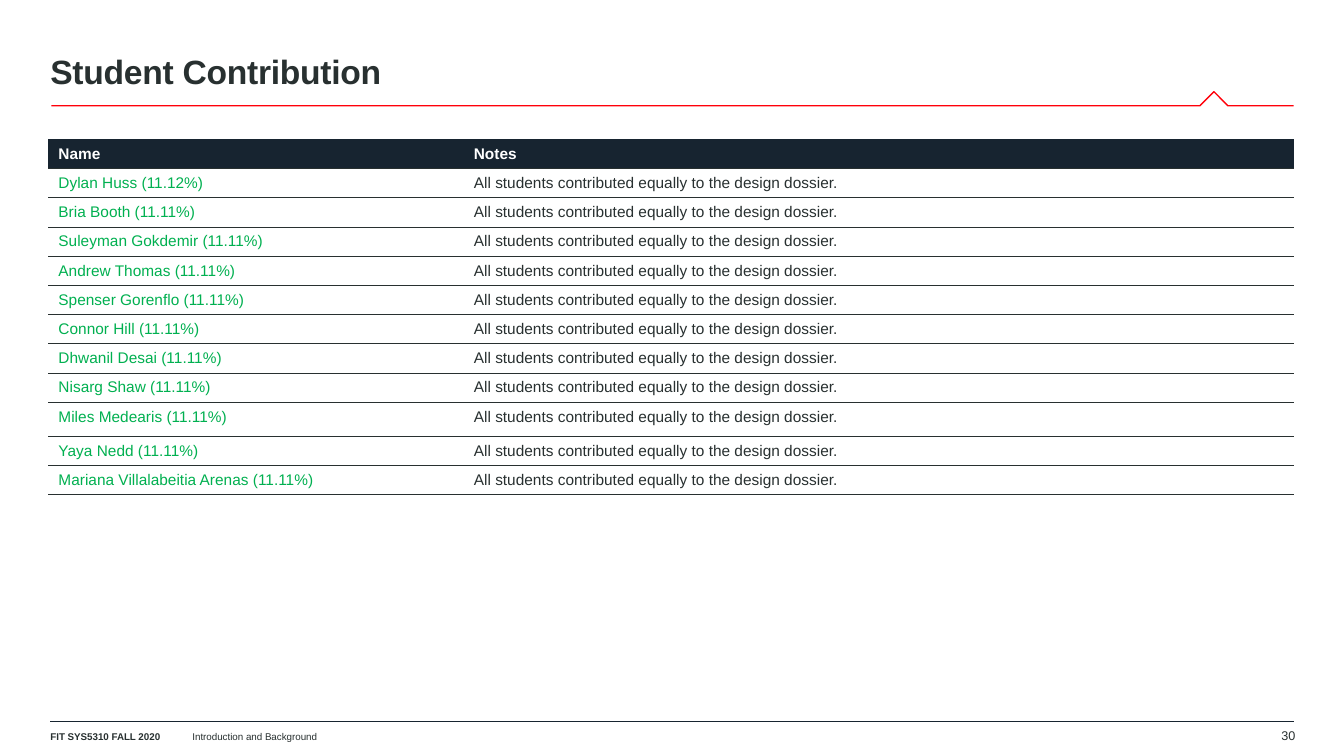
from lxml.etree import SubElement
from pptx import Presentation
from pptx.dml.color import RGBColor
from pptx.enum.shapes import MSO_CONNECTOR
from pptx.enum.text import MSO_ANCHOR
from pptx.oxml import parse_xml
from pptx.oxml.ns import nsdecls, qn
from pptx.util import Pt

PX = 9144
INK, NAVY, RED, GREEN, WHITE = "283030", "172430", "FF000A", "00B050", "FFFFFF"
NO_GRID_STYLE = "{2D5ABB26-0587-4C30-8999-92F81FD0307C}"
NOTE = "All students contributed equally to the design dossier."
SHARES = [
    ("Dylan Huss", "11.12%"),
    *((student, "11.11%") for student in (
        "Bria Booth", "Suleyman Gokdemir", "Andrew Thomas", "Spenser Gorenflo",
        "Connor Hill", "Dhwanil Desai", "Nisarg Shaw", "Miles Medearis",
        "Yaya Nedd", "Mariana Villalabeitia Arenas")),
]


def px(length):
    return length * PX


def rgb(code):
    return RGBColor.from_string(code)


def set_font(paragraph, size, color, bold=False):
    font = paragraph.font
    font.name, font.size, font.bold = "Arial", Pt(size), bold
    font.color.rgb = rgb(color)


def add_label(slide, box, text, size, bold=False,
              anchor=MSO_ANCHOR.MIDDLE, insets=(10, 5)):
    frame = slide.shapes.add_textbox(*map(px, box)).text_frame
    frame.word_wrap = True
    frame.vertical_anchor = anchor
    frame.margin_left = frame.margin_right = px(insets[0])
    frame.margin_top = frame.margin_bottom = px(insets[1])
    paragraph = frame.paragraphs[0]
    paragraph.text = text
    set_font(paragraph, size, INK, bold)
    return paragraph


def draw_header(slide, left, top, width, height):
    title = add_label(slide, (left, top, 1000, 70), "Student Contribution", 24,
                      bold=True, insets=(0, 0))
    title.line_spacing = 0.85
    title.runs[0]._r.get_or_add_rPr().set("spc", "-20")

    right, base = left + width, top + height
    peak, rise = right - 79, 14
    builder = slide.shapes.build_freeform(right, base, scale=PX)
    builder.add_line_segments(
        [(peak + rise, base), (peak, base - rise), (peak - rise, base),
         (left + 1, base)], close=False)
    rule = builder.convert_to_shape()
    rule.shadow.inherit = False
    rule.fill.background()
    rule.line.color.rgb = rgb(RED)
    rule.line.width = Pt(1)


def fill_cell(cell, text, color, header):
    paragraph = cell.text_frame.paragraphs[0]
    paragraph.text = text
    paragraph.line_spacing = 1.07
    paragraph.space_after = Pt(8)
    set_font(paragraph, 11, color, header)
    cell.margin_left = cell.margin_right = px(10)
    cell.margin_top, cell.margin_bottom = px(5), px(4)
    if header:
        cell.fill.solid()
        cell.fill.fore_color.rgb = rgb(NAVY)
    else:
        cell.fill.background()
    border = parse_xml(
        f'<a:lnB {nsdecls("a")} w="{Pt(0.25)}"><a:solidFill>'
        f'<a:srgbClr val="{INK}"/></a:solidFill></a:lnB>')
    cell._tc.get_or_add_tcPr().insert(0, border)


def draw_contributions(slide, left, top, width, height):
    rows = [("Name", "Notes")]
    rows += [(f"{student} ({share})", NOTE) for student, share in SHARES]
    table = slide.shapes.add_table(
        len(rows), 2, px(left), px(top), px(width), px(height)).table
    table._tbl.tblPr.find(qn("a:tableStyleId")).text = NO_GRID_STYLE
    table.horz_banding = False
    name_width = width // 3 + 1
    table.columns[0].width = px(name_width)
    table.columns[1].width = px(width - name_width)
    for index, texts in enumerate(rows):
        header = index == 0
        table.rows[index].height = px(34 if "Miles" in texts[0] else 29)
        colors = (WHITE, WHITE) if header else (GREEN, INK)
        for column, (text, color) in enumerate(zip(texts, colors)):
            fill_cell(table.cell(index, column), text, color, header)


def draw_footer(slide, left, top, width):
    right = left + width
    rule = slide.shapes.add_connector(
        MSO_CONNECTOR.STRAIGHT, px(left), px(top), px(right), px(top))
    rule.line.color.rgb = rgb(NAVY)
    rule.line.width = Pt(0.25)
    SubElement(rule._element.spPr, qn("a:effectLst"))
    add_label(slide, (left, top + 10, 125, 15), "FIT SYS5310 FALL 2020", 7,
              bold=True, anchor=MSO_ANCHOR.TOP, insets=(0, 0))
    add_label(slide, (left + 131, top + 5, 409, 22),
              "Introduction and Background", 7)
    add_label(slide, (right - 22, top, 45, 29), "30", 9)


def main():
    deck = Presentation()
    deck.slide_width, deck.slide_height = px(1333), px(750)
    slide = deck.slides.add_slide(deck.slide_layouts[6])
    draw_header(slide, 50, 39, 1233, 66)
    draw_contributions(slide, 48, 138, 1235, 353)
    draw_footer(slide, 50, 715, 1233)
    deck.save("out.pptx")


if __name__ == "__main__":
    main()
